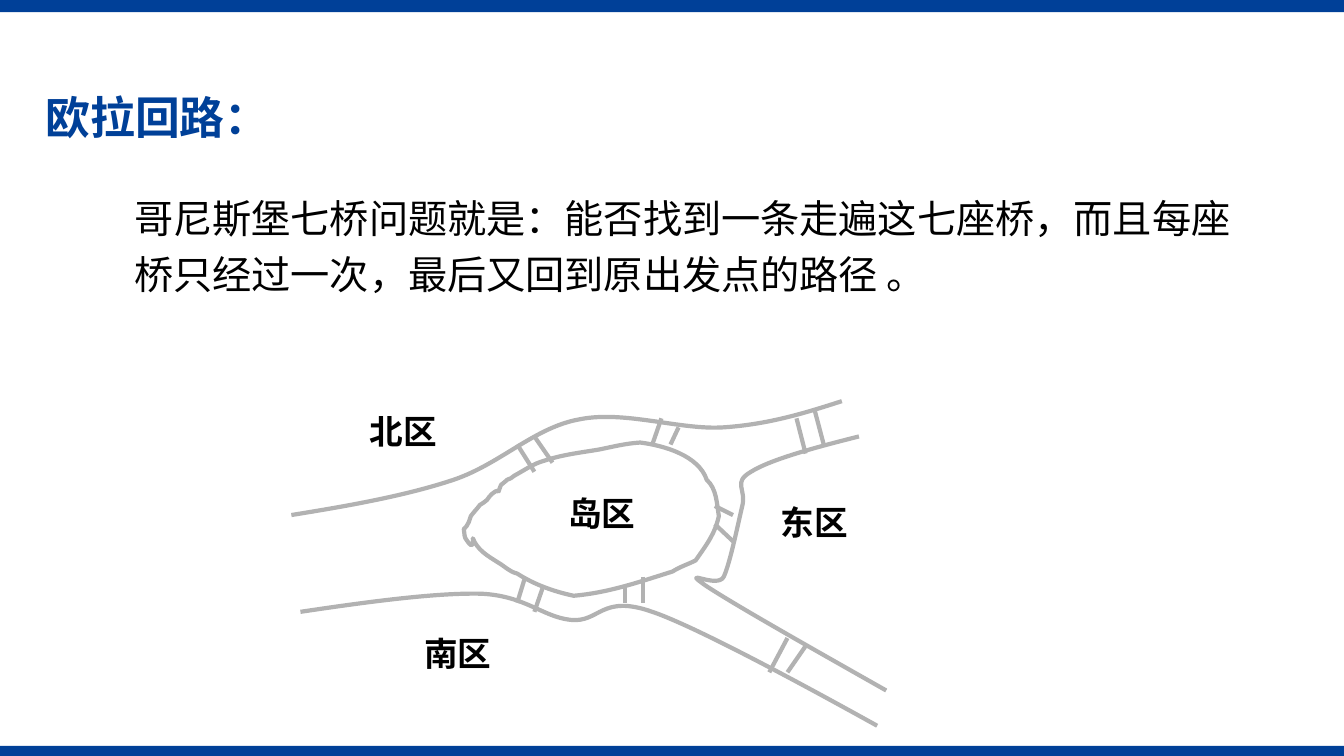
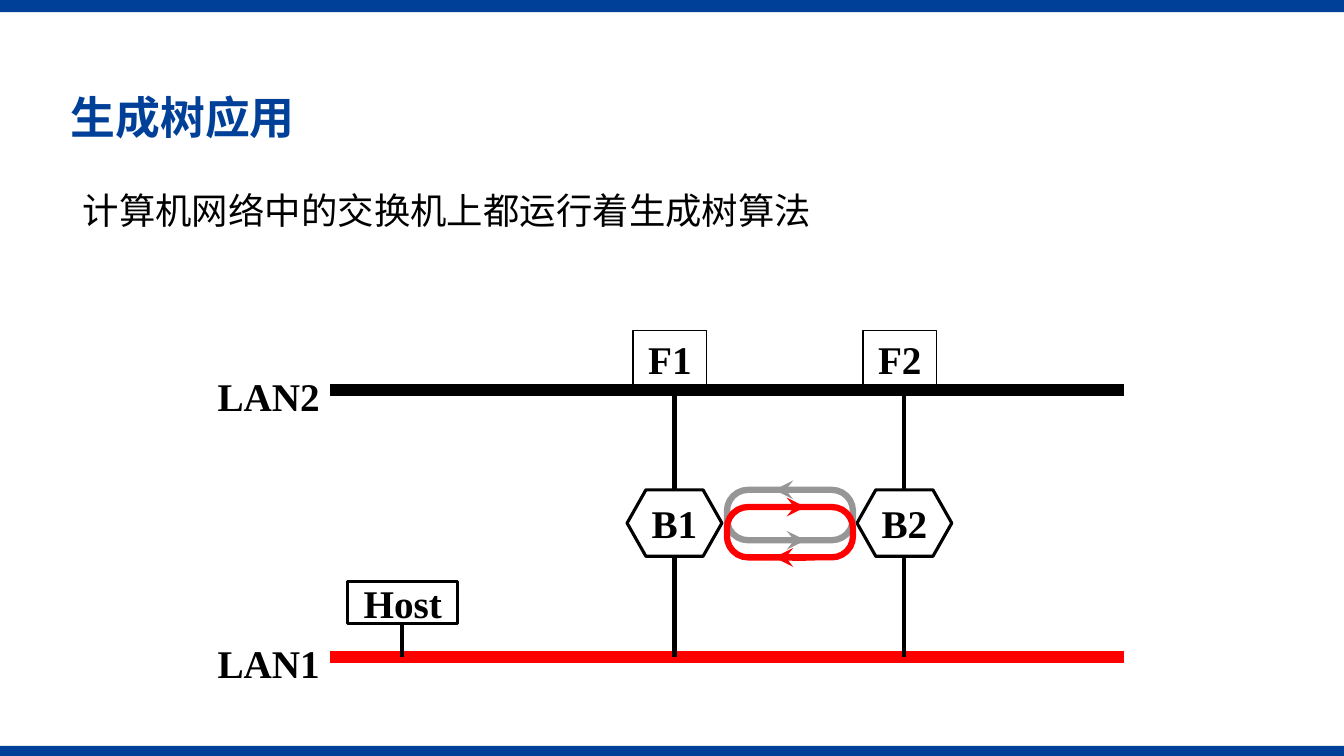
from lxml import etree
from pptx import Presentation
from pptx.dml.color import RGBColor
from pptx.enum import shapes, text
from pptx.oxml.ns import qn
from pptx.util import Inches, Pt

WIDTH, HEIGHT = 13.33, 7.5
BLUE, BLACK, RED = "004098", "000000", "FF0000"
MAP_GREY, LOOP_GREY = "B2B2B2", "969696"
SANS, SERIF = "Noto Sans CJK SC", "Times New Roman"
LEFT, CENTER, RIGHT = text.PP_ALIGN.LEFT, text.PP_ALIGN.CENTER, text.PP_ALIGN.RIGHT
TOP, MIDDLE = text.MSO_ANCHOR.TOP, text.MSO_ANCHOR.MIDDLE
SHAPE = shapes.MSO_SHAPE

BANDS = [(0, 0, WIDTH, 0.12), (0, 7.4, WIDTH, 0.1)]
TITLE = dict(size=32, font=SANS, color=BLUE, bold=True, align=LEFT, anchor=MIDDLE,
             spacing={"line_spacing": 0.9})
BODY = dict(align=LEFT, spacing={"line_spacing": 1.2, "space_before": Pt(10)})
REGION = dict(size=24, bold=True, insets=(0.07, 0.04, 0.07, 0.04))
NODE = dict(size=28, bold=True)

BRIDGES_TITLE = "欧拉回路："
BRIDGES_TEXT = "哥尼斯堡七桥问题就是：能否找到一条走遍这七座桥，而且每座桥只经过一次，最后又回到原出发点的路径 。"
TREE_TITLE = "生成树应用"
TREE_TEXT = "计算机网络中的交换机上都运行着生成树算法"

REGIONS = [
    ("岛区", (5.21, 4.85, 1.52, 0.55)),
    ("东区", (7.45, 4.94, 1.25, 0.55)),
    ("北区", (3.24, 4.04, 1.52, 0.55)),
    ("南区", (3.69, 6.24, 1.7, 0.55)),
]
# Each curve is a start point followed by three Bézier points per segment.
ISLAND = [
    (4.69, 5.34), (4.74, 5.46), (4.83, 5.51), (4.94, 5.58),
    (5.01, 5.62), (5.05, 5.67), (5.13, 5.69), (5.3, 5.8), (5.5, 5.87), (5.69, 5.91),
    (6.04, 5.88), (6.35, 5.77), (6.67, 5.67), (6.75, 5.62), (6.82, 5.6), (6.9, 5.56),
    (7.01, 5.4), (7.09, 5.3), (7.13, 5.12), (7.11, 5), (7.11, 4.85), (7.01, 4.76),
    (6.93, 4.52), (6.59, 4.42), (6.35, 4.39), (6.2, 4.4), (6.09, 4.43), (5.94, 4.46),
    (5.76, 4.49), (5.58, 4.51), (5.4, 4.57), (5.29, 4.6), (5.21, 4.66), (5.1, 4.72),
    (5.08, 4.74), (5.06, 4.75), (5.03, 4.76), (5.01, 4.78), (4.97, 4.81), (4.97, 4.81),
    (4.91, 4.96), (4.99, 4.81), (4.88, 4.9), (4.86, 4.91), (4.85, 4.94), (4.83, 4.96),
    (4.81, 4.98), (4.79, 4.99), (4.76, 5.01), (4.73, 5.05), (4.7, 5.08), (4.67, 5.12),
    (4.66, 5.14), (4.66, 5.16), (4.65, 5.18), (4.64, 5.21), (4.62, 5.23), (4.6, 5.25),
    (4.61, 5.29), (4.6, 5.33), (4.63, 5.36), (4.71, 5.48), (4.69, 5.35), (4.69, 5.34),
]
NORTH_BANK = [
    (2.89, 5.11), (3.45, 5.02), (4.02, 4.92), (4.5, 4.76),
    (4.97, 4.6), (5.3, 4.24), (5.75, 4.16), (6.2, 4.07), (6.75, 4.27), (7.18, 4.24),
    (7.62, 4.21), (7.98, 4.1), (8.35, 3.98),
]
SOUTH_BANK = [
    (2.98, 6.07), (3.65, 5.97), (4.32, 5.88), (4.77, 5.89),
    (5.21, 5.91), (5.38, 6.12), (5.66, 6.15), (5.95, 6.18), (5.96, 5.89), (6.47, 6.07),
    (6.97, 6.24), (8.32, 6.99), (8.7, 7.2),
]
EAST_BANK = [
    (8.52, 4.33), (8.08, 4.44), (7.64, 4.56), (7.45, 4.68),
    (7.26, 4.79), (7.41, 4.85), (7.36, 5.03), (7.32, 5.2), (7.24, 5.59), (7.18, 5.72),
    (7.12, 5.85), (6.73, 5.62), (7, 5.81), (7.27, 5.99), (8.03, 6.42), (8.79, 6.85),
]
# The two rails of each bridge: x1, y1, x2, y2.
BRIDGES = [
    [(8.08, 4.07, 8.17, 4.41), (7.9, 4.15, 7.99, 4.5)],
    [(6.73, 4.24, 6.65, 4.41), (6.56, 4.15, 6.47, 4.41)],
    [(5.3, 4.33, 5.48, 4.59), (5.13, 4.41, 5.3, 4.68)],
    [(7.09, 5.02, 7.27, 5.11), (7.09, 5.2, 7.27, 5.37)],
    [(7.99, 6.41, 7.81, 6.67), (7.81, 6.33, 7.63, 6.67)],
    [(6.38, 5.72, 6.38, 5.98), (6.2, 5.81, 6.2, 5.98)],
    [(5.39, 5.81, 5.3, 6.07), (5.21, 5.72, 5.13, 5.98)],
]

LAN_LEFT, LAN_RIGHT = 3.27, 11.15
LANS = [("LAN2", 3.87, BLACK), ("LAN1", 6.52, RED)]
SWITCHES = [("B1", "F1", 6.69), ("B2", "F2", 8.97)]
SWITCH_TOP, SWITCH_BOTTOM = 4.86, 5.53
LOOP_LEFT, LOOP_WIDTH, LOOP_HEIGHT = 7.21, 1.25, 0.5
ARROW_LEFT, ARROW_RIGHT = 7.68, 7.99
# Colour, top edge, whether the top side runs to the right.
LOOPS = [(LOOP_GREY, 4.86, False), (RED, 5.03, True)]


def rgb(value):
    return RGBColor.from_string(value)


def inches(values):
    return [Inches(value) for value in values]


def write(shape, words, size, font=SERIF, color=BLACK, bold=False, align=CENTER,
          anchor=TOP, wrap=True, insets=(0.1, 0.05, 0.1, 0.05), spacing=None):
    frame = shape.text_frame
    frame.text = words
    left, top, right, bottom = inches(insets)
    layout = dict(auto_size=text.MSO_AUTO_SIZE.NONE, word_wrap=wrap, vertical_anchor=anchor,
                  margin_left=left, margin_top=top, margin_right=right, margin_bottom=bottom)
    for name, value in layout.items():
        setattr(frame, name, value)
    paragraph = frame.paragraphs[0]
    for name, value in dict(alignment=align, **(spacing or {})).items():
        setattr(paragraph, name, value)
    run = paragraph.runs[0]
    for name, value in dict(name=font, size=Pt(size), bold=bold).items():
        setattr(run.font, name, value)
    run.font.color.rgb = rgb(color)
    east_asian = etree.SubElement(run._r.get_or_add_rPr(), qn("a:ea"))
    east_asian.set("typeface", SANS)
    return paragraph


def outline(shape, color, weight):
    shape.fill.background()
    shape.line.color.rgb = rgb(color)
    shape.line.width = Pt(weight)
    shape.shadow.inherit = False


def add_label(slide, words, box, **style):
    write(slide.shapes.add_textbox(*inches(box)), words, **style)


def add_node(slide, kind, words, box, weight=2.25, **style):
    node = slide.shapes.add_shape(kind, *inches(box))
    outline(node, BLACK, weight)
    write(node, words, **NODE, **style)
    return node


def add_line(slide, ends, color, weight, arrow=False):
    line = slide.shapes.add_connector(shapes.MSO_CONNECTOR.STRAIGHT, *inches(ends))
    line.line.color.rgb = rgb(color)
    line.line.width = Pt(weight)
    properties = line.element.spPr
    if arrow:
        etree.SubElement(properties.find(qn("a:ln")), qn("a:tailEnd")).set("type", "stealth")
    etree.SubElement(properties, qn("a:effectLst"))


def add_curve(slide, points, closed=False):
    """Build the outline from its points, then turn each three into a Bézier segment."""
    start, *rest = [inches(point) for point in points]
    builder = slide.shapes.build_freeform(*start)
    builder.add_line_segments(rest, close=closed)
    curve = builder.convert_to_shape()
    outline(curve, MAP_GREY, 3)
    path = next(curve.element.iter(qn("a:path")))
    segments = path.findall(qn("a:lnTo"))
    for i in range(0, len(segments), 3):
        bezier = path.makeelement(qn("a:cubicBezTo"))
        segments[i].addprevious(bezier)
        for segment in segments[i:i + 3]:
            bezier.append(segment[0])
            path.remove(segment)


def add_bands(prs, slide):
    """Draw the bands and move them to the back of the master."""
    tree = prs.slide_master.shapes.element
    for number, box in enumerate(BANDS):
        band = slide.shapes.add_shape(SHAPE.RECTANGLE, *inches(box))
        band.fill.solid()
        band.fill.fore_color.rgb = rgb(BLUE)
        band.line.fill.background()
        band.shadow.inherit = False
        band.element.nvSpPr.cNvPr.set("id", str(100 + number))
        tree.insert(2 + number, band.element)


def place(shape, box):
    for name, value in zip(("left", "top", "width", "height"), inches(box)):
        setattr(shape, name, value)


def add_slide(prs, title, title_left, body, body_box, body_size):
    slide = prs.slides.add_slide(prs.slide_layouts[1])
    heading, content = slide.shapes.title, slide.placeholders[1]
    place(heading, (title_left, 0.57, 8.5, 1.25))
    write(heading, title, **TITLE)
    place(content, body_box)
    paragraph = write(content, body, size=body_size, **BODY)
    properties = paragraph._p.get_or_add_pPr()
    for name in ("marL", "indent"):
        properties.set(name, "0")
    etree.SubElement(properties, qn("a:buNone"))
    return slide


def draw_bridges(slide):
    add_curve(slide, ISLAND, closed=True)
    for bank in (NORTH_BANK, SOUTH_BANK, EAST_BANK):
        add_curve(slide, bank)
    for name, box in REGIONS:
        add_label(slide, name, box, **REGION)
    for bridge in BRIDGES:
        for rail in bridge:
            add_line(slide, rail, MAP_GREY, 3)


def draw_network(slide):
    for name, y, color in LANS:
        add_line(slide, (LAN_LEFT, y, LAN_RIGHT, y), color, 9)
        add_label(slide, name, (LAN_LEFT - 1.25, y - 0.23, 1.25, 0.57), align=RIGHT, **NODE)
    upper, lower = [y for _, y, _ in LANS]

    add_node(slide, SHAPE.RECTANGLE, "Host", (3.45, 5.77, 1.09, 0.42), anchor=MIDDLE, wrap=False)
    add_line(slide, (3.99, 6.19, 3.99, lower), BLACK, 3)

    for switch, frame, x in SWITCHES:
        hexagon = add_node(slide, SHAPE.HEXAGON, switch, (x - 0.47, SWITCH_TOP, 0.94, 0.66),
                           anchor=MIDDLE, wrap=False)
        hexagon.adjustments[0] = 0.283
        add_node(slide, SHAPE.RECTANGLE, frame, (x - 0.41, 3.28, 0.73, 0.57), weight=1)
        for top, bottom in ((upper, SWITCH_TOP), (SWITCH_BOTTOM, lower)):
            add_line(slide, (x, top, x, bottom), BLACK, 3)

    for color, top, rightward in LOOPS:
        loop = slide.shapes.add_shape(
            SHAPE.ROUNDED_RECTANGLE, *inches((LOOP_LEFT, top, LOOP_WIDTH, LOOP_HEIGHT)))
        loop.adjustments[0] = 0.42
        outline(loop, color, 4.5)
        for y, to_right in ((top, rightward), (top + LOOP_HEIGHT, not rightward)):
            start, end = (ARROW_LEFT, ARROW_RIGHT) if to_right else (ARROW_RIGHT, ARROW_LEFT)
            add_line(slide, (start, y, end, y), color, 4.5, arrow=True)


def main():
    prs = Presentation()
    prs.slide_width, prs.slide_height = inches((WIDTH, HEIGHT))
    bridges = add_slide(prs, BRIDGES_TITLE, 0.35, BRIDGES_TEXT, (1.23, 1.78, 11.1, 2.06), 28)
    add_bands(prs, bridges)
    draw_bridges(bridges)
    tree = add_slide(prs, TREE_TITLE, 0.6, TREE_TEXT, (0.72, 1.73, 9.82, 1.42), 26)
    draw_network(tree)
    prs.save("out.pptx")


if __name__ == "__main__":
    main()
